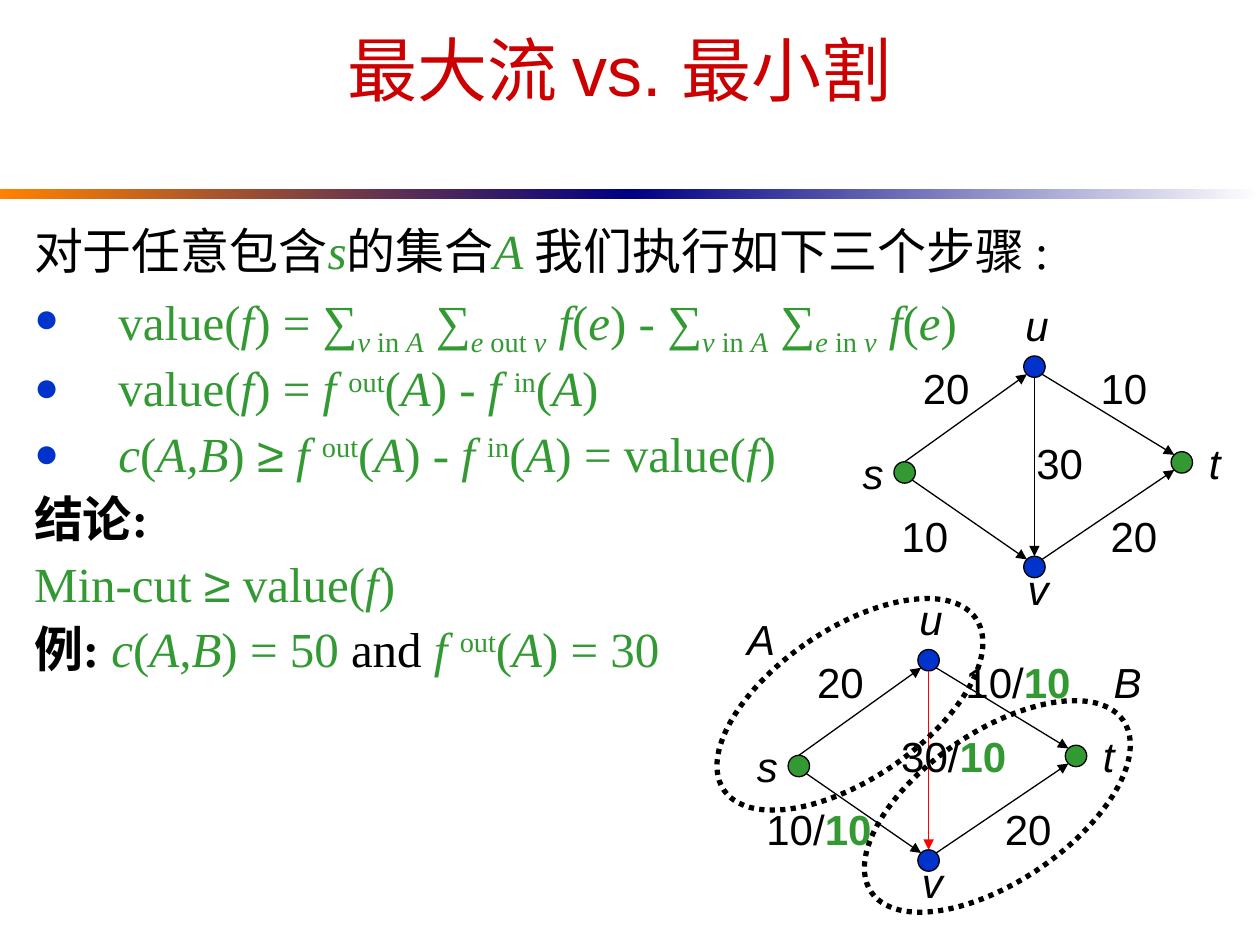
from lxml.etree import SubElement
from pptx import Presentation
from pptx.dml.color import RGBColor
from pptx.enum.dml import MSO_LINE
from pptx.enum.shapes import MSO_CONNECTOR, MSO_SHAPE
from pptx.enum.text import MSO_ANCHOR, MSO_AUTO_SIZE, PP_ALIGN
from pptx.oxml.ns import qn
from pptx.util import Inches, Pt

BLACK, GREEN, BLUE, RED = "000000", "339933", "0033CC", "FF0000"
SERIF, SANS = "Times New Roman", "Arial"

TITLE = "最大流 vs. 最小割"
BARS = [(0, "FF8200", "000082"), (5, "000082", "FFFFFF")]

# Style letters: i italic, b bold, k black, a sans, - subscript, ^ superscript
F_OUT = [("f ", "i"), ("out", "^"), ("(", ""), ("A", "i")]
F_IN = [("f ", "i"), ("in", "^"), ("(", ""), ("A", "i")]
CUT = [("c", "i"), ("(", ""), ("A,B", "i")]
VALUE = [("value(", ""), ("f", "i")]
FLOW = [("v", "i-"), (" f", "i"), ("(", ""), ("e", "i")]
OVER_A = [("∑", ""), ("v", "i-"), (" in ", "-"), ("A", "i-"), (" ∑", ""), ("e", "i-")]

BODY = [
    (False, [("对于任意包含", "k"), ("s", "i"), ("的集合", "k"), ("A ", "i"),
             ("我们执行如下三个步骤 :", "k")]),
    (True, VALUE + [(") = ", "")] + OVER_A + [(" out ", "-")] + FLOW
     + [(") - ", "")] + OVER_A + [(" in ", "-")] + FLOW + [(")", "")]),
    (True, VALUE + [(") = ", "")] + F_OUT + [(") - ", "")] + F_IN + [(")", "")]),
    (True, CUT + [(") ", ""), ("≥", "a"), (" ", "")] + F_OUT + [(") - ", "")] + F_IN
     + [(") = ", "")] + VALUE + [(")", "")]),
    (False, [("结论:", "kb")]),
    (False, [("Min-cut ", ""), ("≥", "a"), (" ", "")] + VALUE + [(")", "")]),
    (False, [("例: ", "kb")] + CUT + [(") = 50 ", ""), ("and ", "k")] + F_OUT
     + [(") = 30", "")]),
]

NODE_SIZE = 0.17
NODES = {"s": (7.18, 3.75, GREEN), "u": (8.21, 2.91, BLUE),
         "t": (9.38, 3.67, GREEN), "v": (8.21, 4.5, BLUE)}
EDGES = [("u", (1, 1), "t", (-1, -1)), ("s", (0, -1), "u", (-1, 1)),
         ("s", (1, 1), "v", (-1, -1)), ("v", (1, -1), "t", (-1, 1)),
         ("u", (0, 1), "v", (0, -1))]
NODE_LABELS = [("t", 9.64, 3.42), ("s", 6.93, 3.5), ("u", 8.23, 2.33), ("v", 8.24, 4.42)]
CAPACITY_SPOTS = [(7.51, 2.83), (7.34, 4), (9, 4), (8.92, 2.83), (8.41, 3.42)]
GRAPHS = [
    ((0, 0), BLACK, [("20", ""), ("10", ""), ("20", ""), ("10", ""), ("30", "")]),
    ((-0.84, 2.33), RED,
     [("20", ""), ("10/", "10"), ("20", ""), ("10/", "10"), ("30/", "10")]),
]
CUT_SETS = [("A", 6.04, 4.82, 6.15, 4.38), ("B", 8.95, 5.16, 7.32, 5.19)]
GLYPH_WIDTHS = {"/": 0.1, "t": 0.1, "s": 0.17, "v": 0.17, "A": 0.23, "B": 0.23}
DIGIT_WIDTH = 0.19


def rgb(value):
    return RGBColor.from_string(value)


def add_run(paragraph, text, size=24, font=SANS, color=BLACK, bold=False,
            italic=False, baseline=0):
    run = paragraph.add_run()
    run.text = text
    run.font.size = Pt(size)
    run.font.name = font
    run.font.bold = bold
    run.font.italic = italic
    run.font.color.rgb = rgb(color)
    if baseline:
        run.font._element.set("baseline", str(baseline * 1000))


def place(shape, left, top, width, height):
    shape.left, shape.top = Inches(left), Inches(top)
    shape.width, shape.height = Inches(width), Inches(height)


def add_shape(slide, kind, left, top, width, height):
    shape = slide.shapes.add_shape(kind, Inches(left), Inches(top),
                                   Inches(width), Inches(height))
    shape.shadow.inherit = False
    return shape


def add_bar(slide, left, start, end):
    bar = add_shape(slide, MSO_SHAPE.RECTANGLE, left, 1.5, 5, 0.08)
    bar.line.fill.background()
    bar.fill.gradient()
    bar.fill.gradient_angle = 0
    for stop, color in zip(bar.fill.gradient_stops, (start, end)):
        stop.color.rgb = rgb(color)


def fill_title(slide):
    title = slide.shapes.title
    place(title, 0.33, -0.08, 9.17, 1.25)
    title.text_frame.vertical_anchor = MSO_ANCHOR.MIDDLE
    title.text_frame.auto_size = MSO_AUTO_SIZE.NONE
    paragraph = title.text_frame.paragraphs[0]
    paragraph.alignment = PP_ALIGN.CENTER
    add_run(paragraph, TITLE, size=40, color="CC0000")


def set_bullet(paragraph, bulleted):
    properties = paragraph._p.get_or_add_pPr()
    properties.set("marL", str(Inches(0.67)))
    properties.set("indent", str(-Inches(0.67)))
    if bulleted:
        color = SubElement(properties, qn("a:buClr"))
        SubElement(color, qn("a:srgbClr"), val=BLUE)
        SubElement(properties, qn("a:buSzPct"), val="85000")
        SubElement(properties, qn("a:buFont"), typeface=SERIF)
        SubElement(properties, qn("a:buChar"), char="●")
    else:
        SubElement(properties, qn("a:buNone"))


def fill_body(slide):
    body = slide.placeholders[1]
    place(body, 0.17, 1.75, 9.42, 3.92)
    frame = body.text_frame
    frame.auto_size = MSO_AUTO_SIZE.NONE
    for index, (bulleted, runs) in enumerate(BODY):
        paragraph = frame.add_paragraph() if index else frame.paragraphs[0]
        paragraph.line_spacing = 0.9
        paragraph.space_before = Pt(7)
        set_bullet(paragraph, bulleted)
        for text, style in runs:
            add_run(paragraph, text, size=28, font=SANS if "a" in style else SERIF,
                    color=BLACK if "k" in style else GREEN,
                    bold="b" in style, italic="i" in style,
                    baseline=-25 if "-" in style else 30 if "^" in style else 0)


def add_label(slide, text, center, top, italic=False, flow=""):
    width = 0.2 + sum(GLYPH_WIDTHS.get(glyph, DIGIT_WIDTH) for glyph in text + flow)
    box = slide.shapes.add_textbox(Inches(center - width / 2), Inches(top),
                                   Inches(width), Inches(0.5))
    frame = box.text_frame
    frame.word_wrap = False
    frame.auto_size = MSO_AUTO_SIZE.SHAPE_TO_FIT_TEXT
    frame.vertical_anchor = MSO_ANCHOR.MIDDLE
    paragraph = frame.paragraphs[0]
    paragraph.alignment = PP_ALIGN.CENTER
    add_run(paragraph, text, italic=italic)
    if flow:
        add_run(paragraph, flow, color=GREEN, bold=True)


def rim_point(node, direction):
    x, y, _ = NODES[node]
    dx, dy = direction
    reach = NODE_SIZE / 2 / (dx * dx + dy * dy) ** 0.5
    return x + dx * reach, y + dy * reach


def add_arrow(slide, start, end, color):
    points = [Inches(value) for value in (*start, *end)]
    arrow = slide.shapes.add_connector(MSO_CONNECTOR.STRAIGHT, *points)
    arrow.line.color.rgb = rgb(color)
    arrow.line.width = Pt(0.75)
    SubElement(arrow.line._get_or_add_ln(), qn("a:tailEnd"), type="triangle")
    SubElement(arrow._element.spPr, qn("a:effectLst"))


def add_graph(slide, offset, middle_color, capacities):
    shift_x, shift_y = offset
    for x, y, color in NODES.values():
        node = add_shape(slide, MSO_SHAPE.OVAL, x + shift_x - NODE_SIZE / 2,
                         y + shift_y - NODE_SIZE / 2, NODE_SIZE, NODE_SIZE)
        node.fill.solid()
        node.fill.fore_color.rgb = rgb(color)
        node.line.color.rgb = rgb(BLACK)
        node.line.width = Pt(0.75)
    for source, leave, target, arrive in EDGES:
        start, end = [(x + shift_x, y + shift_y) for x, y in
                      (rim_point(source, leave), rim_point(target, arrive))]
        add_arrow(slide, start, end, middle_color if source + target == "uv" else BLACK)
    for text, center, top in NODE_LABELS:
        add_label(slide, text, center + shift_x, top + shift_y, italic=True)
    for (center, top), (text, flow) in zip(CAPACITY_SPOTS, capacities):
        add_label(slide, text, center + shift_x, top + shift_y, flow=flow)


def add_cut_set(slide, name, center, label_top, left, top):
    outline = add_shape(slide, MSO_SHAPE.OVAL, left, top, 1.19, 2.42)
    outline.rotation = 55.8
    outline.fill.background()
    outline.line.color.rgb = rgb(BLACK)
    outline.line.width = Pt(3)
    outline.line.dash_style = MSO_LINE.ROUND_DOT
    add_label(slide, name, center, label_top, italic=True)


def main():
    presentation = Presentation()
    presentation.slide_width, presentation.slide_height = Inches(10), Inches(7.5)
    slide = presentation.slides.add_slide(presentation.slide_layouts[1])
    for bar in BARS:
        add_bar(slide, *bar)
    fill_title(slide)
    fill_body(slide)
    for graph in GRAPHS:
        add_graph(slide, *graph)
    for cut_set in CUT_SETS:
        add_cut_set(slide, *cut_set)
    presentation.save("out.pptx")


if __name__ == "__main__":
    main()
